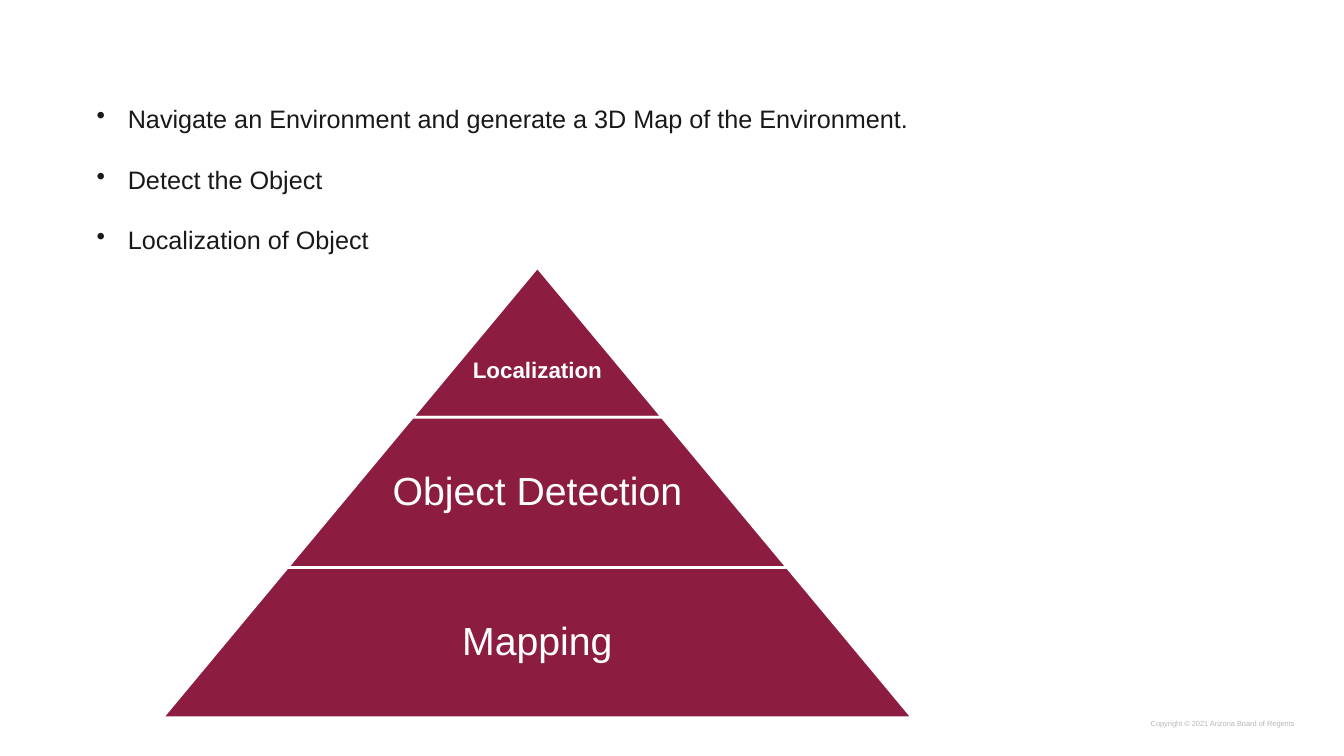
"""Build a slide with three bullet points above a three-tier pyramid."""
import pptx
import pptx.dml.color
import pptx.enum.shapes
import pptx.enum.text
import pptx.util
from lxml import etree
from pptx.util import Inches, Pt

ALIGN = pptx.enum.text.PP_ALIGN
MAROON, WHITE, INK, GRAY = "8C1D40", "FFFFFF", "191919", "B7B7B7"


def color(value):
    return pptx.dml.color.RGBColor.from_string(value)


def add_text(slide, box, lines, size, ink, align, spacing=1.0, inset=None, bullet=None):
    shape = slide.shapes.add_textbox(*(Inches(length) for length in box))
    frame = shape.text_frame
    frame.word_wrap = True
    if inset is not None:
        frame.margin_left = frame.margin_right = Inches(inset)
        frame.margin_top = frame.margin_bottom = Inches(inset)
    frame.text = "\n".join(lines)
    for paragraph in frame.paragraphs:
        paragraph.alignment = align
        paragraph.line_spacing = spacing
        if bullet:
            properties = paragraph._p.get_or_add_pPr()
            properties.set("marL", str(Inches(0.31)))
            properties.set("indent", str(-Inches(0.31)))
            mark = etree.SubElement(properties, pptx.oxml.ns.qn("a:buChar"))
            mark.set("char", bullet)
        paragraph.font.name = "Arial"
        paragraph.font.size = Pt(size)
        paragraph.font.color.rgb = color(ink)
    return frame


presentation = pptx.Presentation()
presentation.slide_width = Inches(13.33)
presentation.slide_height = Inches(7.5)
slide = presentation.slides.add_slide(presentation.slide_layouts[6])

add_text(slide, (10.89, 7.09, 2.08, 0.33), ["Copyright © 2021 Arizona Board of Regents"],
         5.3, GRAY, ALIGN.RIGHT, inset=0.13)

goals = [
    "Navigate an Environment and generate a 3D Map of the Environment.",
    "Detect the Object",
    "Localization of Object",
]
add_text(slide, (0.86, 0.68, 12, 1.82), goals, 18, INK, ALIGN.LEFT, spacing=2.0, bullet="•")

center, pyramid_top, tier_height, tier_growth = 5.33, 2.65, 1.49, 2.48
tiers = [
    ("Localization", 16, True, 3.0, 2.48, 0.02),
    ("Object Detection", 28, False, 0.9, 3.23, 0.04),
    ("Mapping", 28, False, 0.9, 4.84, 0.04),
]
for index, (label, size, bold, spacing, label_width, inset) in enumerate(tiers):
    width = tier_growth * (index + 1)
    top = pyramid_top + tier_height * index
    tier = slide.shapes.add_shape(
        pptx.enum.shapes.MSO_SHAPE.TRAPEZOID,
        Inches(center - width / 2), Inches(top), Inches(width), Inches(tier_height))
    tier.adjustments[0] = tier_growth / 2 / tier_height
    tier.shadow.inherit = False
    tier.fill.solid()
    tier.fill.fore_color.rgb = color(MAROON)
    tier.line.color.rgb = color(WHITE)
    tier.line.width = Pt(2)
    frame = add_text(slide, (center - label_width / 2, top, label_width, tier_height),
                     [label], size, WHITE, ALIGN.CENTER, spacing, inset)
    frame.vertical_anchor = pptx.enum.text.MSO_ANCHOR.MIDDLE
    frame.paragraphs[0].font.bold = bold

presentation.save("out.pptx")
